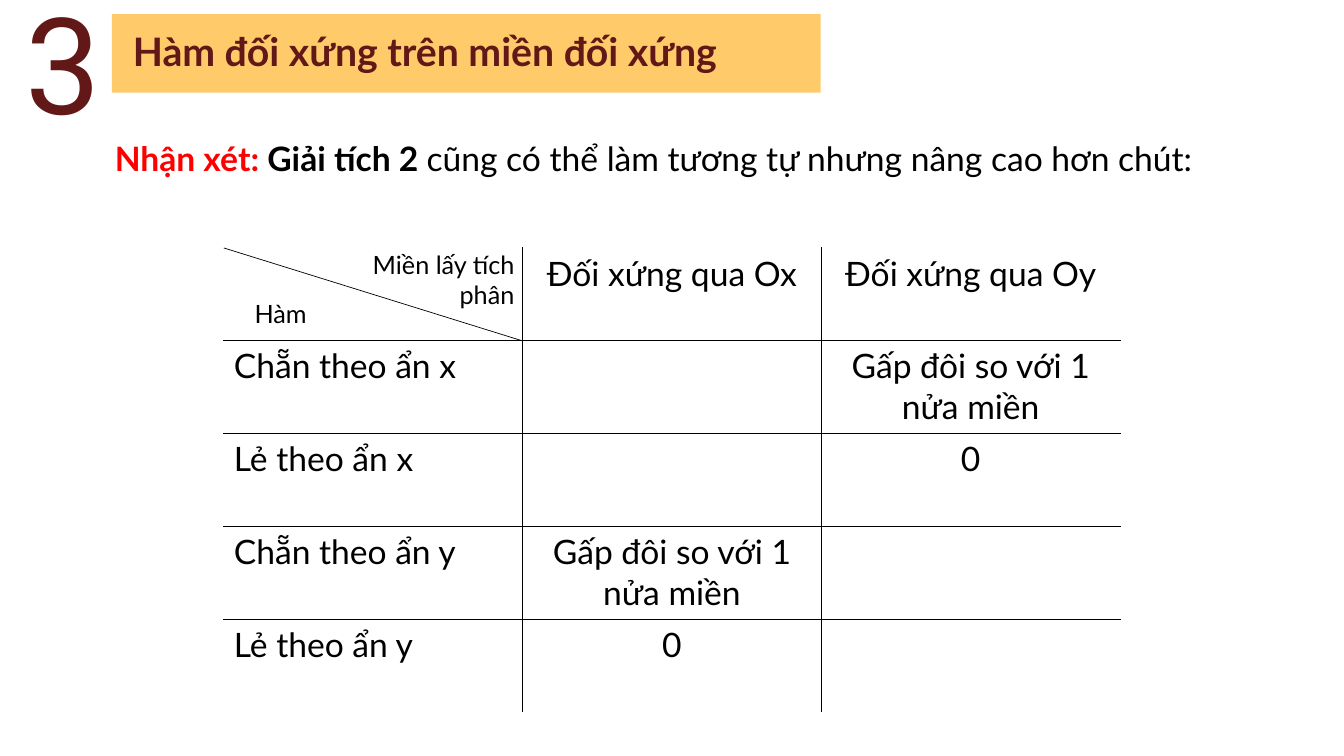
from lxml import etree
from pptx import Presentation
from pptx.dml.color import RGBColor
from pptx.enum.shapes import MSO_CONNECTOR, MSO_SHAPE
from pptx.enum.text import MSO_AUTO_SIZE, PP_ALIGN
from pptx.oxml.ns import qn
from pptx.util import Inches, Pt

LEFT, CENTER, RIGHT = PP_ALIGN.LEFT, PP_ALIGN.CENTER, PP_ALIGN.RIGHT
RECTANGLE, STRAIGHT = MSO_SHAPE.RECTANGLE, MSO_CONNECTOR.STRAIGHT
RESIZE = MSO_AUTO_SIZE.SHAPE_TO_FIT_TEXT

MAROON = RGBColor(0x61, 0x18, 0x17)
AMBER = RGBColor(0xFF, 0xCB, 0x6A)
RED = RGBColor(0xFF, 0x00, 0x00)
BLACK = RGBColor(0x00, 0x00, 0x00)
WHITE = RGBColor(0xFF, 0xFF, 0xFF)

# Each span: text, size, colour, bold, font
NUMBER = [("3", 96, MAROON, False, "Roboto")]
TITLE = [("Hàm đối xứng trên miền đối xứng", 28, MAROON, True, "Lato")]
REMARK = [
    ("Nhận xét: ", 24, RED, True, "Lato"),
    ("Giải tích 2 ", 24, BLACK, True, "Lato"),
    ("cũng có thể làm tương tự nhưng nâng cao hơn chút:", 24, BLACK, False, "Lato"),
]
DOMAIN_LABEL = [("Miền lấy tích phân", 18, BLACK, False, "Lato")]
FUNCTION_LABEL = [("Hàm", 18, BLACK, False, "Lato")]
DOUBLE = "Gấp đôi so với 1 nửa miền"
SYMMETRY_ROWS = [
    ("", "Đối xứng qua Ox", "Đối xứng qua Oy"),
    ("Chẵn theo ẩn x", "", DOUBLE),
    ("Lẻ theo ẩn x", "", "0"),
    ("Chẵn theo ẩn y", DOUBLE, ""),
    ("Lẻ theo ẩn y", "0", ""),
]

TABLE_LEFT, TABLE_TOP = 2.22, 2.46
COLUMN_WIDTH, ROW_HEIGHT = 2.963, 0.922


def add_spans(para, spans):
    for text, size, color, bold, font in spans:
        span = para.add_run()
        span.text = text
        span.font.size = Pt(size)
        span.font.color.rgb = color
        span.font.bold = bold
        span.font.name = font


def add_text(page, place, spans, align=LEFT, wrap=True, line_spacing=None):
    box = page.shapes.add_textbox(*map(Inches, place))
    box.text_frame.word_wrap = wrap
    box.text_frame.auto_size = RESIZE
    para = box.text_frame.paragraphs[0]
    para.alignment = align
    if line_spacing:
        para.line_spacing = line_spacing
    add_spans(para, spans)


def set_borders(cell, colors):
    """Draw 1 pt borders; colors are in the order left, right, top, bottom."""
    properties = cell._tc.get_or_add_tcPr()
    for index, (side, color) in enumerate(zip("LRTB", colors)):
        line = etree.Element(qn(f"a:ln{side}"), w=str(Pt(1)))
        fill = etree.SubElement(line, qn("a:solidFill"))
        etree.SubElement(fill, qn("a:srgbClr"), val=str(color))
        properties.insert(index, line)


def add_symmetry_table(page):
    rows, columns = len(SYMMETRY_ROWS), len(SYMMETRY_ROWS[0])
    table = page.shapes.add_table(
        rows, columns, Inches(TABLE_LEFT), Inches(TABLE_TOP),
        Inches(columns * COLUMN_WIDTH), Inches(rows * ROW_HEIGHT)).table
    table.first_row = table.horz_banding = False
    for r, texts in enumerate(SYMMETRY_ROWS):
        for c, text in enumerate(texts):
            cell = table.cell(r, c)
            cell.fill.background()
            on_edge = (c == 0, c == columns - 1, r == 0, r == rows - 1)
            set_borders(cell, [WHITE if edge else BLACK for edge in on_edge])
            if text:
                para = cell.text_frame.paragraphs[0]
                para.alignment = CENTER if c else LEFT
                add_spans(para, [(text, 24, BLACK, False, "Lato")])


def add_header_diagonal(page):
    diagonal = page.shapes.add_connector(
        STRAIGHT, Inches(TABLE_LEFT), Inches(TABLE_TOP),
        Inches(TABLE_LEFT + COLUMN_WIDTH), Inches(TABLE_TOP + ROW_HEIGHT))
    diagonal.line.color.rgb = BLACK
    diagonal.line.width = Pt(0.5)
    etree.SubElement(diagonal._element.spPr, qn("a:effectLst"))


def main():
    deck = Presentation()
    deck.slide_width, deck.slide_height = Inches(13.33), Inches(7.5)
    page = deck.slides.add_slide(deck.slide_layouts[6])

    banner = page.shapes.add_shape(
        RECTANGLE, *map(Inches, (1.11, 0.14, 7.03, 0.78)))
    banner.shadow.inherit = False
    banner.fill.solid()
    banner.fill.fore_color.rgb = AMBER
    banner.line.fill.background()

    add_text(page, (0.15, -0.25, 1.02, 1.72), NUMBER, wrap=False)
    add_text(page, (1.22, 0.22, 7.22, 0.57), TITLE)
    add_text(page, (1.04, 1.12, 10.9, 1.23), REMARK, line_spacing=1.5)
    add_symmetry_table(page)
    add_header_diagonal(page)
    add_text(page, (3.02, 2.42, 2.18, 0.71), DOMAIN_LABEL, RIGHT)
    add_text(page, (TABLE_LEFT, 2.91, 0.92, 0.4), FUNCTION_LABEL, RIGHT)
    deck.save("out.pptx")


if __name__ == "__main__":
    main()
